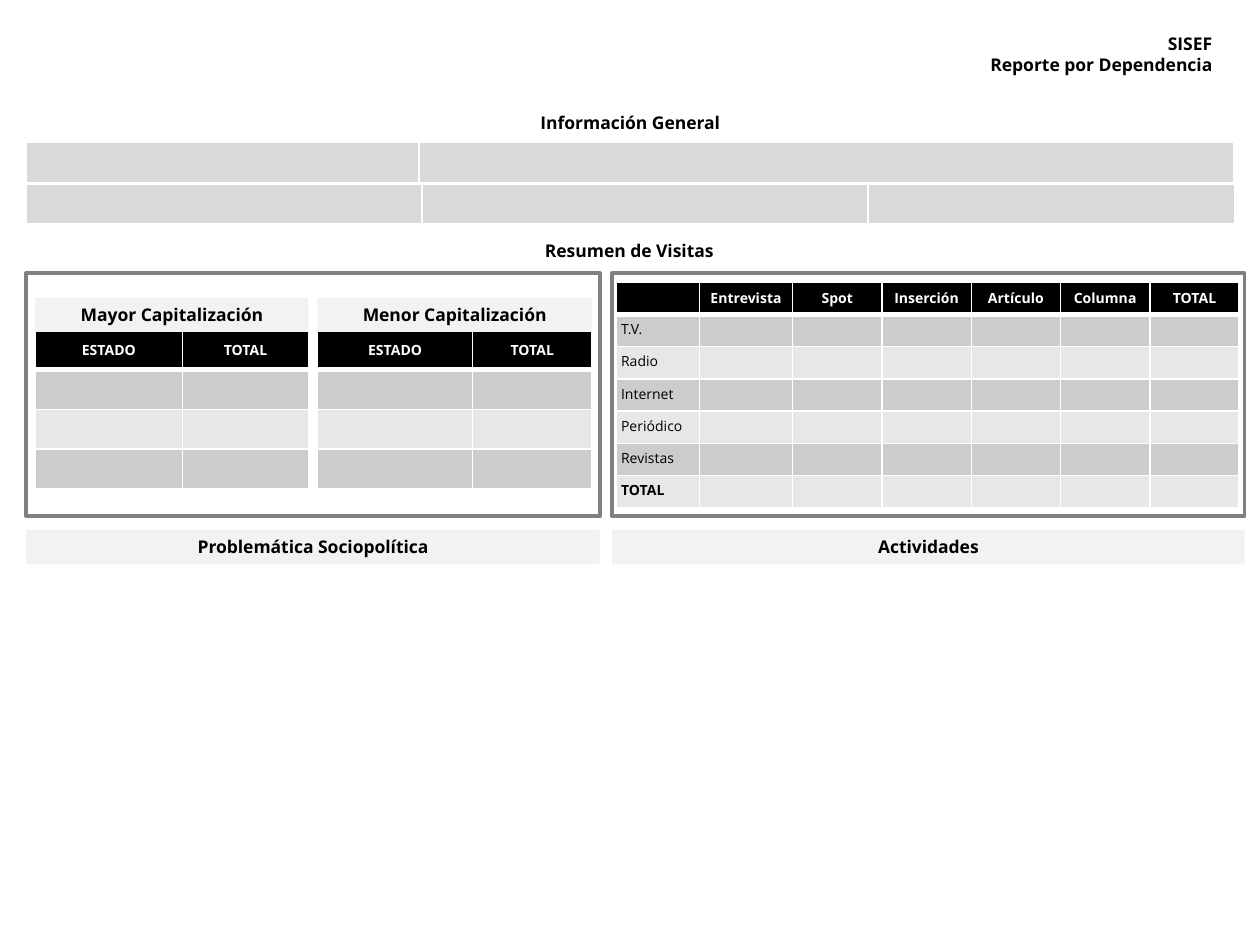
from pptx import Presentation
from pptx import util as u
from pptx.dml.color import RGBColor
from pptx.enum import shapes, text
from pptx.oxml.ns import qn
from lxml import etree

BLACK, WHITE, FRAME = "000000", "FFFFFF", "808080"
INFO, BANNER = "D9D9D9", "F2F2F2"
BANDS = ("CCCCCC", "E7E7E7")


def color(hex_value):
    """Turn a hex string into a colour."""
    return RGBColor.from_string(hex_value)


def set_border(cell, side, points):
    """Draw one white border of a cell; side is L, R, T or B."""
    line = etree.SubElement(cell._tc.get_or_add_tcPr(), qn(f"a:ln{side}"),
                            w=str(u.Pt(points)))
    fill = etree.SubElement(line, qn("a:solidFill"))
    etree.SubElement(fill, qn("a:srgbClr"), val=WHITE)


class Report:
    """The report's style and its current slide."""

    font = "Open Sans"
    heading_size = 10
    table_size = 8
    center = text.PP_ALIGN.CENTER

    def __init__(self, slide):
        self.slide = slide

    def set_text(self, frame, words, size, align=None, bold=True, ink=BLACK):
        """Put formatted text into a text frame."""
        frame.text = words
        for paragraph in frame.paragraphs:
            paragraph.alignment = align
            for run in paragraph.runs:
                run.font.name, run.font.size = self.font, u.Pt(size)
                run.font.bold = bold
                run.font.color.rgb = color(ink)

    def heading(self, shape, words, align=center):
        """Set a bold heading in a shape, box or placeholder."""
        frame = shape.text_frame
        frame.word_wrap = True
        frame.auto_size = text.MSO_AUTO_SIZE.NONE
        frame.vertical_anchor = text.MSO_ANCHOR.TOP
        self.set_text(frame, words, self.heading_size, align)

    def title(self, words, left, top, width, height):
        """Place the report's title."""
        title = self.slide.shapes.title
        title.left, title.top = u.Cm(left), u.Cm(top)
        title.width, title.height = u.Cm(width), u.Cm(height)
        self.heading(title, words, text.PP_ALIGN.RIGHT)

    def section(self, words, left, top, width=5.21, height=0.69):
        """Add a section heading without a background."""
        box = self.slide.shapes.add_textbox(
            u.Cm(left), u.Cm(top), u.Cm(width), u.Cm(height))
        self.heading(box, words)

    def rectangle(self, left, top, width, height):
        """Add a rectangle without fill, line or shadow."""
        rectangle = self.slide.shapes.add_shape(
            shapes.MSO_SHAPE.RECTANGLE,
            u.Cm(left), u.Cm(top), u.Cm(width), u.Cm(height))
        rectangle.shadow.inherit = False
        rectangle.fill.background()
        rectangle.line.fill.background()
        return rectangle

    def frame(self, left, width, top=5.51, height=4.9):
        """Outline a panel."""
        line = self.rectangle(left, top, width, height).line
        line.color.rgb = color(FRAME)
        line.width = u.Pt(2.25)

    def banner(self, words, left, top, width, height=0.69):
        """Add a heading on a light band."""
        band = self.rectangle(left, top, width, height)
        band.fill.solid()
        band.fill.fore_color.rgb = color(BANNER)
        self.heading(band, words)

    def cell(self, cell, words, fill, top=1, bottom=1, **style):
        """Fill one table cell with colour, borders and text."""
        for side, points in zip("LRTB", (1, 1, top, bottom)):
            set_border(cell, side, points)
        cell.fill.solid()
        cell.fill.fore_color.rgb = color(fill)
        cell.margin_left = cell.margin_right = u.Cm(0.1)
        cell.margin_top = cell.margin_bottom = u.Cm(0.1)
        if words:
            self.set_text(cell.text_frame, words, self.table_size, **style)
        else:
            end = cell.text_frame.paragraphs[0]._p.get_or_add_endParaRPr()
            end.set("sz", str(self.table_size * 100))

    def grid(self, left, top, widths, height, rows):
        """Add an unstyled table and return it."""
        table = self.slide.shapes.add_table(
            rows, len(widths), u.Cm(left), u.Cm(top),
            u.Cm(sum(widths)), u.Cm(height * rows)).table
        table.first_row = table.horz_banding = False
        for column, width in zip(table.columns, widths):
            column.width = u.Cm(width)
        for row in table.rows:
            row.height = u.Cm(height)
        return table

    def info_row(self, top, widths):
        """Add a row of grey fields."""
        for field in self.grid(0.53, top, widths, 0.84, 1).iter_cells():
            self.cell(field, "", INFO, bottom=3)

    def summary(self, left, top, widths, height, header, labels):
        """Add a table with a black header and banded rows."""
        table = self.grid(left, top, widths, height, len(labels) + 1)
        for column, words in enumerate(header):
            head = table.cell(0, column)
            self.cell(head, words, BLACK, bottom=3, align=self.center, ink=WHITE)
            head.vertical_anchor = text.MSO_ANCHOR.MIDDLE
            for row, label in enumerate(labels):
                self.cell(table.cell(row + 1, column), "" if column else label,
                          BANDS[row % 2], top=1 if row else 3,
                          bold=label == "TOTAL")


def main():
    """Build and save the report."""
    deck = Presentation()
    deck.slide_width, deck.slide_height = u.Cm(25.4), u.Cm(19.05)
    report = Report(deck.slides.add_slide(deck.slide_layouts[5]))

    report.title("SISEF\nReporte por Dependencia", 13.89, 0.53, 10.8, 1.12)
    report.section("Información General", 10.1, 2.13)
    report.info_row(2.87, (7.92, 16.43))
    report.info_row(3.71, (7.98, 8.99, 7.39))
    report.section("Resumen de Visitas", 10.08, 4.72)

    panels = (("Problemática Sociopolítica", 0.53, 11.56),
              ("Actividades", 12.34, 12.75))
    for words, left, width in panels:
        report.frame(left, width)
        report.banner(words, left, 10.69, width)

    rankings = (("Mayor Capitalización", 0.71, (2.97, 2.54)),
                ("Menor Capitalización", 6.4, (3.13, 2.4)))
    for words, left, widths in rankings:
        report.summary(left, 6.65, widths, 0.8, ("ESTADO", "TOTAL"), [""] * 3)
        report.banner(words, left, 6, sum(widths))

    report.summary(
        12.42, 5.69, (1.68, 1.88) + (1.8,) * 5, 0.65,
        ("", "Entrevista", "Spot", "Inserción", "Artículo", "Columna", "TOTAL"),
        ("T.V.", "Radio", "Internet", "Periódico", "Revistas", "TOTAL"))

    deck.save("out.pptx")


main()
